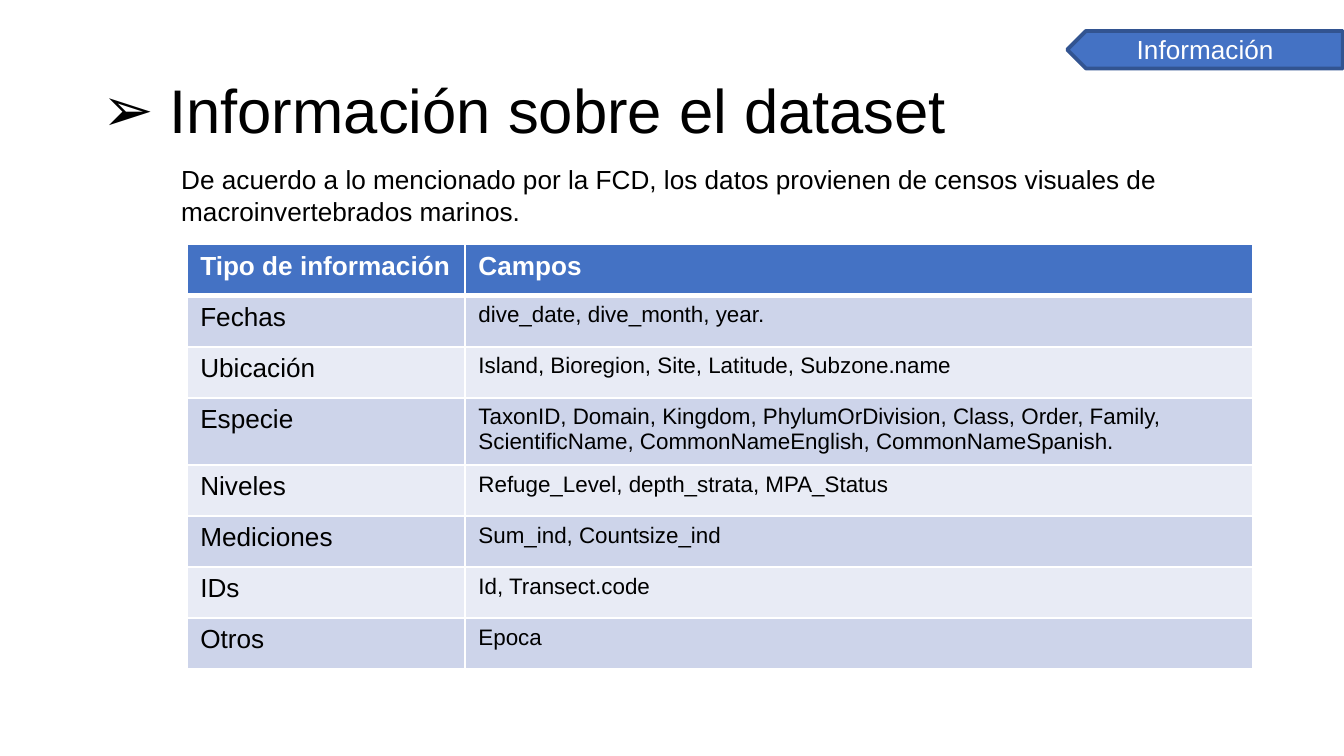
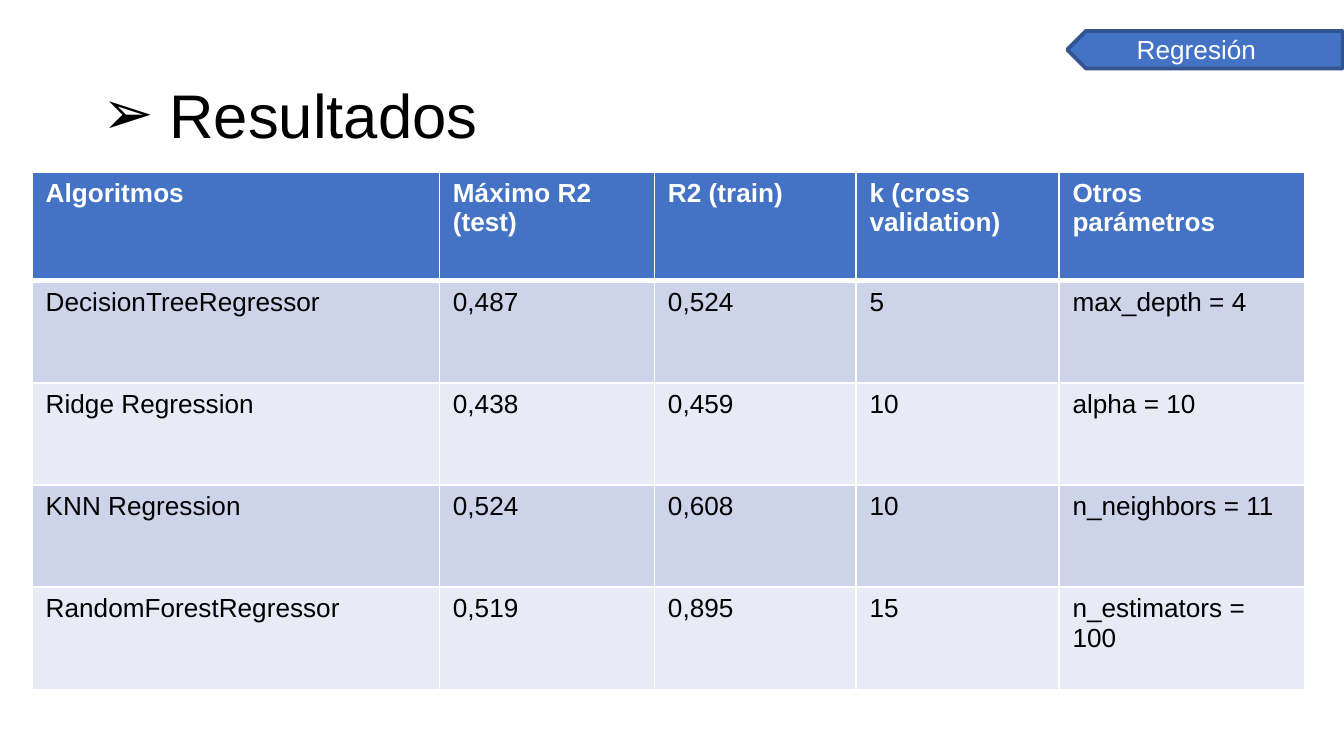
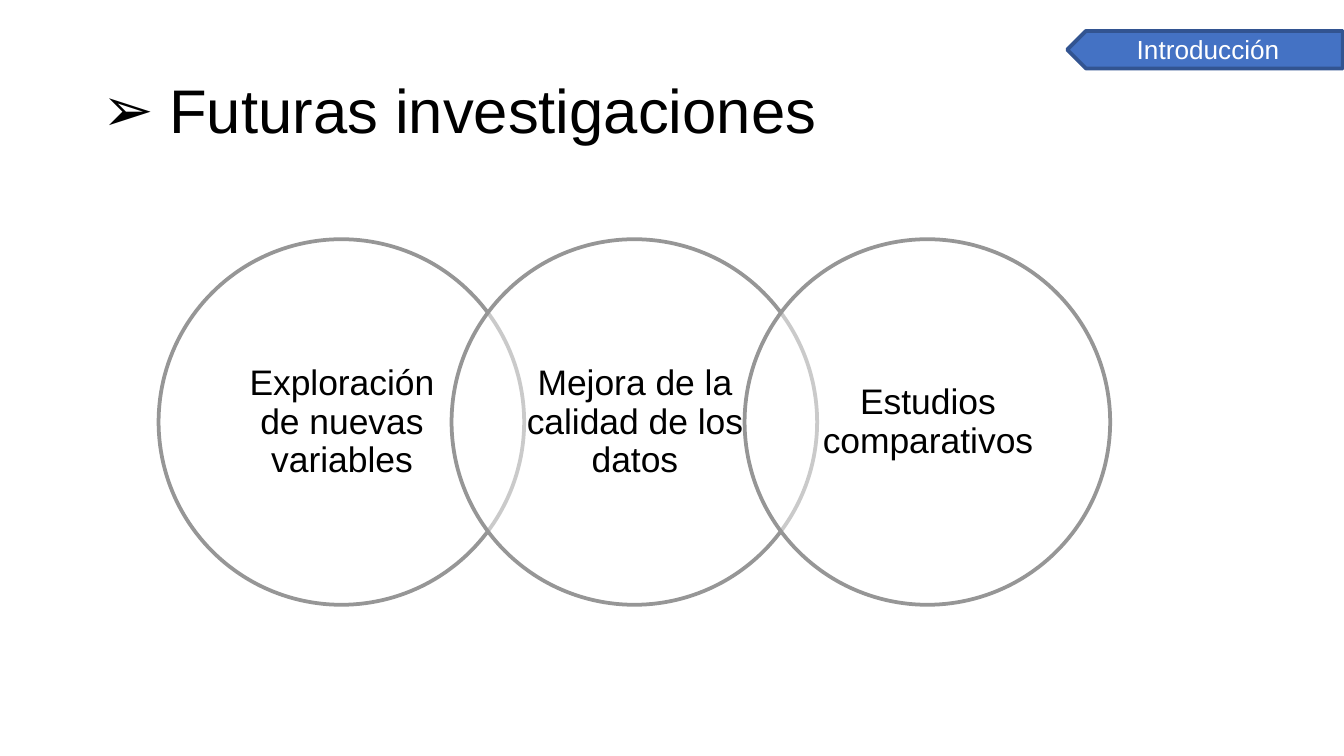
from lxml import etree
from pptx import Presentation
from pptx.dml.color import RGBColor
from pptx.enum.shapes import MSO_SHAPE
from pptx.enum.text import MSO_ANCHOR, MSO_AUTO_SIZE, PP_ALIGN
from pptx.oxml.ns import qn
from pptx.util import Inches, Pt

PENTAGON, OVAL = MSO_SHAPE.PENTAGON, MSO_SHAPE.OVAL
TOP, MIDDLE = MSO_ANCHOR.TOP, MSO_ANCHOR.MIDDLE
GROW, FIXED = MSO_AUTO_SIZE.SHAPE_TO_FIT_TEXT, MSO_AUTO_SIZE.NONE
LEFT, CENTER = PP_ALIGN.LEFT, PP_ALIGN.CENTER

SLIDE_WIDTH = 10
SLIDE_HEIGHT = SLIDE_WIDTH * 9 / 16
FONT = "Arial"
COLORS = {
    "text": "000000",
    "white": "FFFFFF",
    "blue": "4472C4",
    "dark_blue": "325491",
    "band_dark": "CDD4EA",
    "band_light": "E8EBF5",
    "ring": "969696",
}
DEFAULT_MARGINS = (0.1, 0.05)

DATASET_FIELDS = [
    ("Tipo de información", "Campos"),
    ("Fechas", "dive_date, dive_month, year."),
    ("Ubicación", "Island, Bioregion, Site, Latitude, Subzone.name"),
    ("Especie", "TaxonID, Domain, Kingdom, PhylumOrDivision, Class, Order, Family, "
                "ScientificName, CommonNameEnglish, CommonNameSpanish."),
    ("Niveles", "Refuge_Level, depth_strata, MPA_Status"),
    ("Mediciones", "Sum_ind, Countsize_ind"),
    ("IDs", "Id, Transect.code"),
    ("Otros", "Epoca"),
]
REGRESSION_RESULTS = [
    ("Algoritmos", "Máximo R2 (test)", "R2 (train)", "k (cross validation)", "Otros parámetros"),
    ("DecisionTreeRegressor", "0,487", "0,524", "5", "max_depth = 4"),
    ("Ridge Regression", "0,438", "0,459", "10", "alpha = 10"),
    ("KNN Regression", "0,524", "0,608", "10", "n_neighbors = 11"),
    ("RandomForestRegressor", "0,519", "0,895", "15", "n_estimators = 100"),
]
RESEARCH_LINES = [
    "Exploración de nuevas variables",
    "Mejora de la calidad de los datos",
    "Estudios comparativos",
]


def color(name):
    """Return the named colour of the palette."""
    return RGBColor.from_string(COLORS[name])


def add_arrow_bullet(paragraph):
    """Give the paragraph a hanging arrow bullet."""
    properties = paragraph._p.get_or_add_pPr()
    properties.set("marL", str(Inches(0.5)))
    properties.set("indent", str(Inches(-0.5)))
    bullet_color = etree.SubElement(properties, qn("a:buClr"))
    etree.SubElement(bullet_color, qn("a:srgbClr"), val=COLORS["text"])
    etree.SubElement(properties, qn("a:buFont"), typeface=FONT)
    etree.SubElement(properties, qn("a:buChar"), char="➢")


def write_text(text_frame, text, size=14, ink="text", bold=False, align=LEFT,
               line_spacing=None, bullet=False):
    """Write one formatted paragraph into a text frame."""
    paragraph = text_frame.paragraphs[0]
    paragraph.alignment = align
    if line_spacing:
        paragraph.line_spacing = line_spacing
    if bullet:
        add_arrow_bullet(paragraph)
    run = paragraph.add_run()
    run.text = text
    run.font.name = FONT
    run.font.size = Pt(size)
    run.font.bold = bold
    run.font.color.rgb = color(ink)


def add_text_box(slide, box, text, anchor=TOP, auto_size=GROW, margins=DEFAULT_MARGINS,
                 **text_format):
    """Add a wrapping text box at (left, top, width, height) in inches."""
    text_frame = slide.shapes.add_textbox(*map(Inches, box)).text_frame
    text_frame.word_wrap = True
    text_frame.auto_size = auto_size
    text_frame.vertical_anchor = anchor
    side, end = map(Inches, margins)
    text_frame.margin_left = text_frame.margin_right = side
    text_frame.margin_top = text_frame.margin_bottom = end
    write_text(text_frame, text, **text_format)


def add_filled_shape(slide, kind, box, fill, line):
    """Add a flat preset shape with a two-point outline."""
    shape = slide.shapes.add_shape(kind, *map(Inches, box))
    shape.shadow.inherit = False
    shape.fill.solid()
    shape.fill.fore_color.rgb = color(fill)
    shape.line.color.rgb = color(line)
    shape.line.width = Pt(2)
    return shape


def add_title(slide, text, line_spacing=0.9):
    """Add the bulleted slide title."""
    add_text_box(slide, (0.69, 0.3, 8.62, 1.09), text, anchor=MIDDLE, auto_size=FIXED,
                 margins=(0.07, 0.04), size=33, line_spacing=line_spacing, bullet=True)


def add_section_tag(slide, text):
    """Add the left-pointing section tag in the top right corner."""
    tag = add_filled_shape(slide, PENTAGON, (7.94, 0.23, 2.05, 0.28), "blue", "dark_blue")
    tag.rotation = 180
    add_text_box(slide, (8.36, 0.2, 1.64, 0.34), text, ink="white")


def set_cell_borders(cell, top=1, bottom=1):
    """Draw white cell borders with the given widths in points."""
    properties = cell._tc.get_or_add_tcPr()
    for side, width in (("L", 1), ("R", 1), ("T", top), ("B", bottom)):
        border = etree.SubElement(properties, qn(f"a:ln{side}"), w=str(Pt(width)))
        fill = etree.SubElement(border, qn("a:solidFill"))
        etree.SubElement(fill, qn("a:srgbClr"), val=COLORS["white"])


def add_banded_table(slide, left, top, column_widths, row_heights, rows, detail_size=14):
    """Add a table with a blue header and alternating row fills."""
    box = (left, top, sum(column_widths), sum(row_heights))
    table = slide.shapes.add_table(len(rows), len(column_widths), *map(Inches, box)).table
    for column, width in zip(table.columns, column_widths):
        column.width = Inches(width)
    for row, height in zip(table.rows, row_heights):
        row.height = Inches(height)
    for row_index, values in enumerate(rows):
        header = row_index == 0
        band = "band_dark" if row_index % 2 else "band_light"
        for column_index, value in enumerate(values):
            cell = table.cell(row_index, column_index)
            set_cell_borders(cell, top=3 if row_index == 1 else 1, bottom=3 if header else 1)
            cell.fill.solid()
            cell.fill.fore_color.rgb = color("blue" if header else band)
            write_text(cell.text_frame, value, bold=header, ink="white" if header else "text",
                       size=14 if header or column_index == 0 else detail_size)


def add_linked_circles(slide, labels, left=1.18, top=1.78, diameter=2.72, step=2.18):
    """Add a row of overlapping translucent circles with centred labels."""
    inset = 0.4
    label_size = diameter - 2 * inset + 0.01
    for index, label in enumerate(labels):
        circle_left = left + index * step
        circle = add_filled_shape(slide, OVAL, (circle_left, top, diameter, diameter),
                                  "white", "ring")
        fill_color = circle._element.spPr.find(qn("a:solidFill"))[0]
        etree.SubElement(fill_color, qn("a:alpha"), val="50000")
        add_text_box(slide, (circle_left + inset, top + inset, label_size, label_size), label,
                     anchor=MIDDLE, auto_size=FIXED, margins=(0.15, 0.03), size=19,
                     align=CENTER, line_spacing=0.9)


def main():
    """Build the three slides and save the presentation."""
    presentation = Presentation()
    presentation.slide_width = Inches(SLIDE_WIDTH)
    presentation.slide_height = Inches(SLIDE_HEIGHT)
    blank = presentation.slide_layouts[6]

    slide = presentation.slides.add_slide(blank)
    add_title(slide, "Información sobre el dataset")
    add_section_tag(slide, "Información")
    add_text_box(slide, (1.25, 1.17, 7.5, 0.57),
                 "De acuerdo a lo mencionado por la FCD, los datos provienen de censos "
                 "visuales de macroinvertebrados marinos.")
    add_banded_table(slide, 1.39, 1.82, [2.07, 5.86], [0.38] * 3 + [0.47] + [0.38] * 4,
                     DATASET_FIELDS, detail_size=12)

    slide = presentation.slides.add_slide(blank)
    add_section_tag(slide, "Regresión")
    add_title(slide, "Resultados", line_spacing=1.0)
    add_banded_table(slide, 0.24, 1.28, [3.03, 1.6, 1.5, 1.51, 1.83], [0.81] + [0.76] * 4,
                     REGRESSION_RESULTS)

    slide = presentation.slides.add_slide(blank)
    add_title(slide, "Futuras investigaciones")
    add_section_tag(slide, "Introducción")
    add_linked_circles(slide, RESEARCH_LINES)

    presentation.save("out.pptx")


if __name__ == "__main__":
    main()
